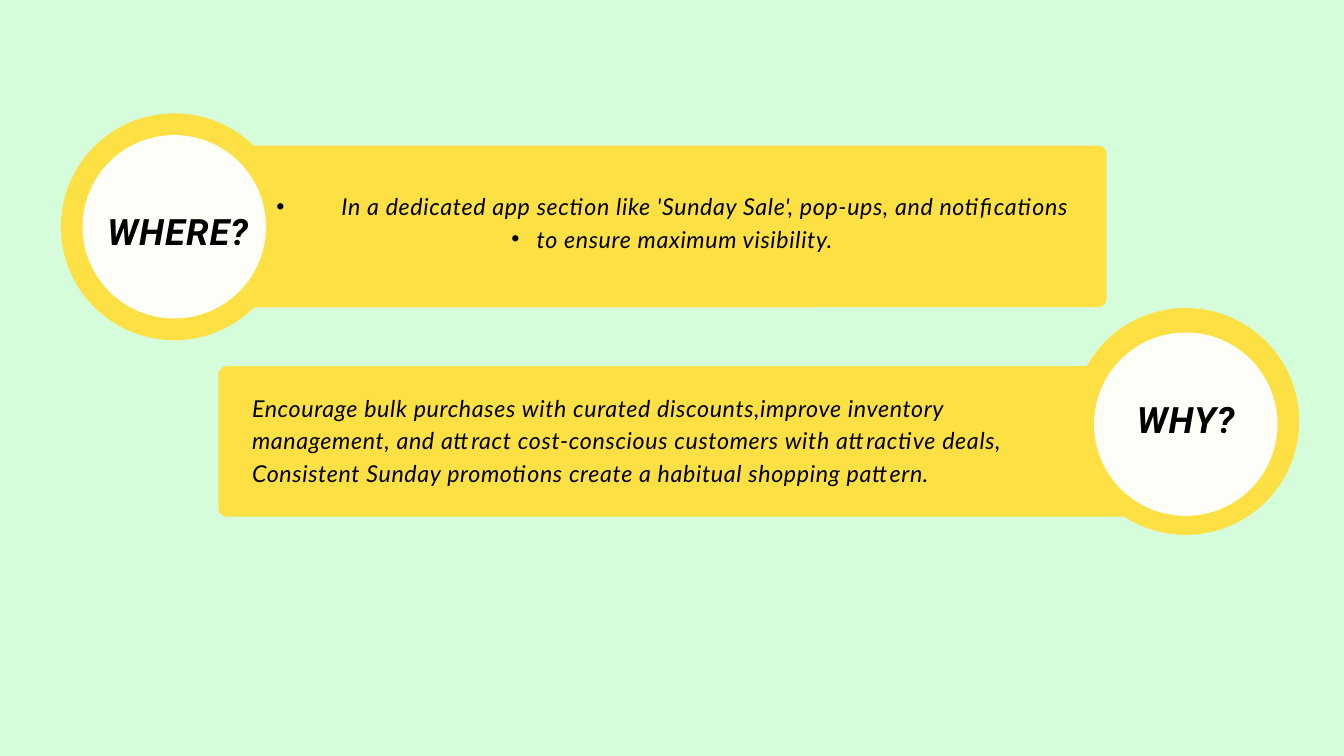
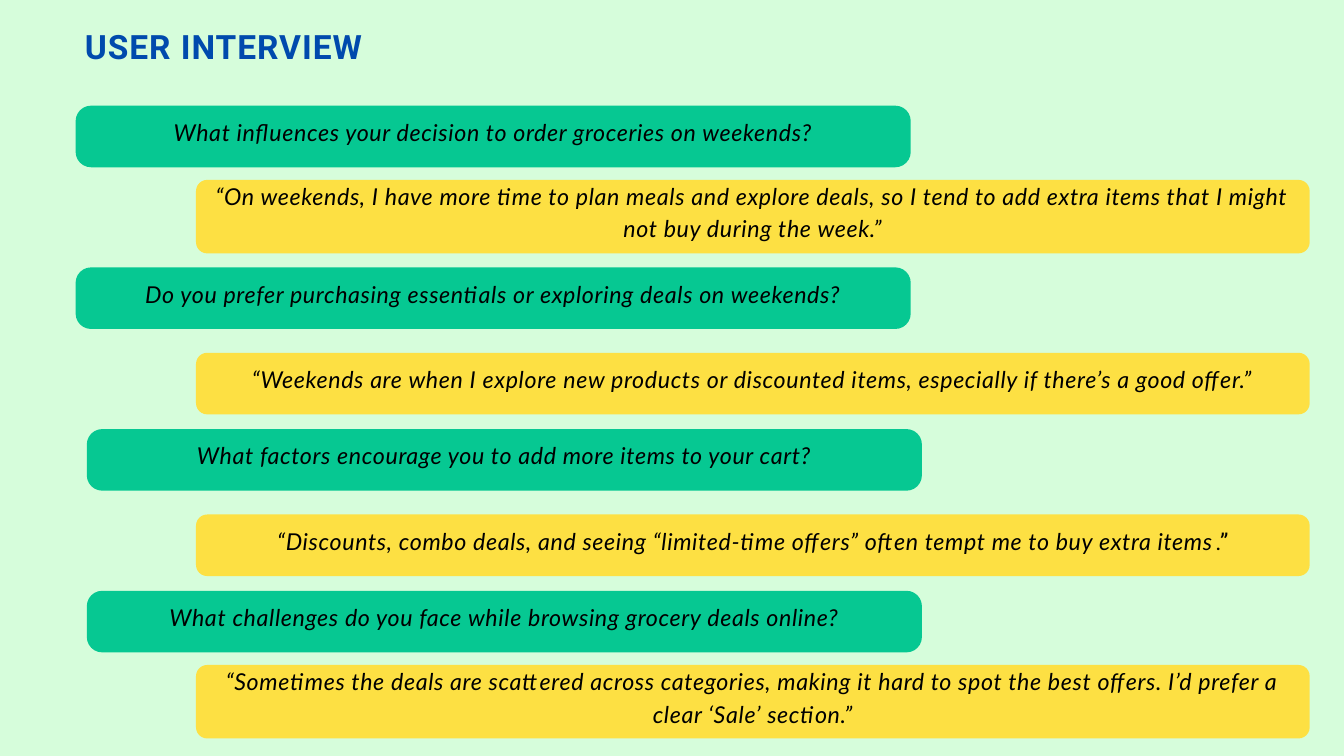
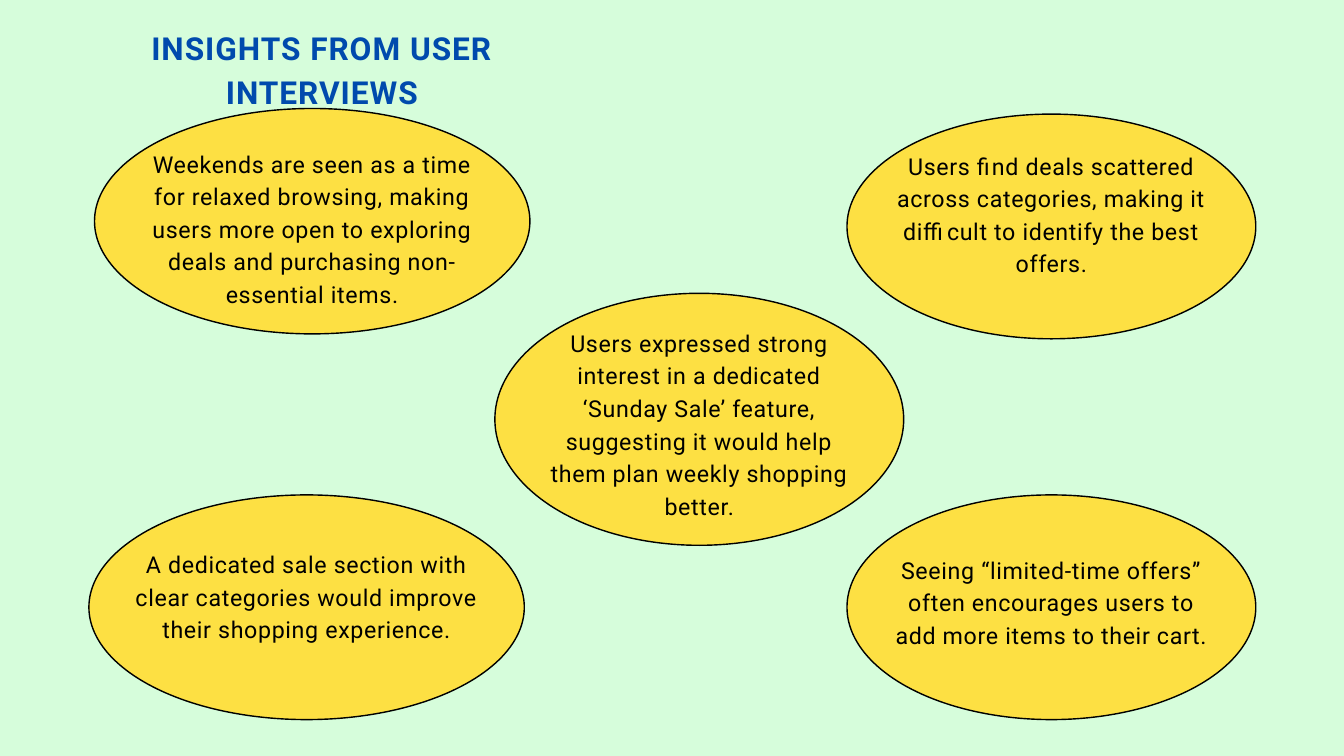
import pptx
import pptx.dml.color
import pptx.enum.shapes
import pptx.enum.text
import pptx.util

SCALE = 9525
MINT, YELLOW, GREEN = "D6FDDB", "FDE043", "06C892"
IVORY, BLACK, BLUE = "FDFEF8", "000000", "004AAD"
TITLE_ONLY, TITLE_AND_BODY = 5, 1
TEXT_LIFT = 19
PAD = 6
SHAPES = pptx.enum.shapes.MSO_SHAPE
ALIGN = pptx.enum.text.PP_ALIGN
ANCHOR = pptx.enum.text.MSO_ANCHOR

VISIBILITY_POINTS = [
    ("In a dedicated app section like 'Sunday Sale', pop-ups, and notifications", 122, -93),
    ("to ensure maximum visibility.", 64, -36),
]
REASONS = (
    "Encourage bulk purchases with curated discounts,improve inventory management, "
    "and attract cost-conscious customers with attractive deals, "
    "Consistent Sunday promotions create a habitual shopping pattern."
)
INTERVIEW = [
    (108, "What influences your decision to order groceries on weekends?", True,
     "“On weekends, I have more time to plan meals and explore deals, so I tend to add "
     "extra items that I might not buy during the week.”", ""),
    (108, "Do you prefer purchasing essentials or exploring deals on weekends?", False,
     "“Weekends are when I explore new products or discounted items, "
     "especially if there’s a good offer.”", ""),
    (124, "What factors encourage you to add more items to your cart?", False,
     "“Discounts, combo deals, and seeing “limited-time offers” often tempt me "
     "to buy extra items", ".”"),
    (124, "What challenges do you face while browsing grocery deals online?", True,
     "“Sometimes the deals are scattered across categories, making it hard to spot "
     "the best offers. I’d prefer a clear ‘Sale’ section.”", ""),
]
INSIGHTS = [
    ((135, 155, 622, 322), 8,
     "Weekends are seen as a time for relaxed browsing, making users more open to "
     "exploring deals and purchasing non-essential items."),
    ((707, 419, 584, 360), 4,
     "Users expressed strong interest in a dedicated ‘Sunday Sale’ feature, "
     "suggesting it would help them plan weekly shopping better."),
    ((127, 707, 622, 321), -18,
     "A dedicated sale section with clear categories would improve "
     "their shopping experience."),
    ((1210, 163, 584, 321), -20,
     "Users find deals scattered across categories, making it difficult to identify "
     "the best offers."),
    ((1210, 707, 584, 321), -10,
     "Seeing “limited-time offers” often encourages users to add more items "
     "to their cart."),
]


def px(length):
    """Turn whole pixels into EMU."""
    return pptx.util.Emu(length * SCALE)


def color(value):
    """Turn a hex string into a colour."""
    return pptx.dml.color.RGBColor.from_string(value)


def place(shape, box):
    """Move and size a shape to a pixel box."""
    shape.left, shape.top, shape.width, shape.height = map(px, box)


def prepare_frame(shape, anchor=ANCHOR.MIDDLE, pad=PAD):
    """Set wrapping, anchor and insets, and return the text frame."""
    frame = shape.text_frame
    frame.word_wrap = True
    frame.auto_size = pptx.enum.text.MSO_AUTO_SIZE.NONE
    frame.vertical_anchor = anchor
    frame.margin_left = frame.margin_right = px(pad)
    frame.margin_top = frame.margin_bottom = px(pad)
    return frame


def write(para, text, size=24.9, font="Lato", hue=BLACK, bold=False, italic=False,
          align=ALIGN.CENTER):
    """Add one formatted span to a paragraph."""
    para.alignment = align
    para.line_spacing = pptx.util.Pt(round(size * 1.4, 1))
    para.space_before = pptx.util.Pt(0)
    span = para.add_run()
    span.text = text
    span.font.size = pptx.util.Pt(size)
    span.font.name = font
    span.font.bold = bold
    span.font.italic = italic
    span.font.color.rgb = color(hue)
    span._r.get_or_add_rPr().set("spc", str(int(size * 3)))


def add_text(page, box, text, anchor=ANCHOR.MIDDLE, pad=PAD, **look):
    """Add a text box with one paragraph and return the paragraph."""
    frame = prepare_frame(page.shapes.add_textbox(*map(px, box)), anchor, pad)
    write(frame.paragraphs[0], text, **look)
    return frame.paragraphs[0]


def add_panel(page, kind, box, fill, radius=0, outline=None):
    """Add a filled shape, rounded or outlined when asked."""
    panel = page.shapes.add_shape(kind, *map(px, box))
    panel.shadow.inherit = False
    panel.fill.solid()
    panel.fill.fore_color.rgb = color(fill)
    if radius:
        panel.adjustments[0] = radius / min(box[2:])
    if outline:
        panel.line.color.rgb = color(outline)
        panel.line.width = pptx.util.Pt(1.5)
    else:
        panel.line.fill.background()


def add_title(page, box, text, size):
    """Fill and move the title placeholder."""
    title = page.shapes.title
    place(title, box)
    frame = prepare_frame(title, ANCHOR.TOP, 0)
    write(frame.paragraphs[0], text, size=size, font="Roboto", hue=BLUE, bold=True)


def add_bullets(page, box, points):
    """Fill the body placeholder with bullets and bring it to the front."""
    body = page.placeholders[1]
    place(body, box)
    frame = prepare_frame(body)
    for index, (text, margin, indent) in enumerate(points):
        para = frame.add_paragraph() if index else frame.paragraphs[0]
        write(para, text, italic=True)
        properties = para._p.get_or_add_pPr()
        properties.set("marL", str(px(margin)))
        properties.set("indent", str(px(indent)))
    page.shapes._spTree.append(body._element)


def add_disc(page, ring, drop, label, shift):
    """Add the inner disc of a ring, with its label shifted from the centre."""
    left, top, size = ring
    disc = (left + 31, top + drop, 262, 262)
    add_panel(page, SHAPES.OVAL, disc, IVORY)
    box = (disc[0] + shift[0], disc[1] + shift[1], *disc[2:])
    add_text(page, box, label, size=38.9, font="Roboto", bold=True, italic=True)


def build_where_why(deck):
    """Build the slide on where and why the sale is shown."""
    page = deck.slides.add_slide(deck.slide_layouts[TITLE_AND_BODY])
    title = page.shapes.title._element
    title.getparent().remove(title)
    where_ring, why_ring = (87, 162, 324), (1532, 440, 324)
    for ring, panel in ((where_ring, (312, 208, 1269, 231)),
                        (why_ring, (312, 523, 1340, 215))):
        add_panel(page, SHAPES.OVAL, (*ring, ring[2]), YELLOW)
        add_panel(page, SHAPES.ROUNDED_RECTANGLE, panel, YELLOW, radius=12)
    add_bullets(page, (312, 189, 1269, 251), VISIBILITY_POINTS)
    add_disc(page, where_ring, 31, "WHERE?", (5, 1))
    add_disc(page, why_ring, 35, "WHY?", (0, -13))
    add_text(page, (360, 556, 1172, 182), REASONS, anchor=ANCHOR.TOP, pad=0,
             italic=True, align=ALIGN.LEFT)


def add_bubble(page, box, fill, radius, text):
    """Add a rounded bubble with its text set slightly high."""
    left, top, width, height = box
    add_panel(page, SHAPES.ROUNDED_RECTANGLE, box, fill, radius)
    text_box = (left, top - TEXT_LIFT, width, height + TEXT_LIFT)
    return add_text(page, text_box, text, italic=True)


def build_interview(deck):
    """Build the slide of questions and answers."""
    page = deck.slides.add_slide(deck.slide_layouts[TITLE_ONLY])
    add_title(page, (114, 28, 411, 64), "USER INTERVIEW", 35.9)
    for index, (left, question, two_lines, answer, ending) in enumerate(INTERVIEW):
        top = 151 + 231 * index
        drop, height = (106, 105) if two_lines else (122, 88)
        add_bubble(page, (left, top, 1193, 88), GREEN, 22, question)
        para = add_bubble(page, (280, top + drop, 1591, height), YELLOW, 16, answer)
        if ending:
            write(para, ending, font="Roboto")


def add_insight(page, box, shift, text):
    """Add an outlined oval with its text shifted down from the centre."""
    left, top, width, height = box
    side = round(width * 0.094)
    add_panel(page, SHAPES.OVAL, box, YELLOW, outline=BLACK)
    text_box = (left + side, top + 20 + shift, width - 2 * side, height - 40)
    add_text(page, text_box, text, font="Roboto")


def build_insights(deck):
    """Build the slide of insights in ovals."""
    page = deck.slides.add_slide(deck.slide_layouts[TITLE_ONLY])
    add_title(page, (73, 32, 774, 62), "INSIGHTS FROM USER INTERVIEWS", 33.9)
    for box, shift, text in INSIGHTS:
        add_insight(page, box, shift, text)


def main():
    """Build and save the deck."""
    deck = pptx.Presentation()
    deck.slide_width, deck.slide_height = px(1920), px(1080)
    backdrop = deck.slide_master.background.fill
    backdrop.solid()
    backdrop.fore_color.rgb = color(MINT)
    build_where_why(deck)
    build_interview(deck)
    build_insights(deck)
    deck.save("out.pptx")


if __name__ == "__main__":
    main()
